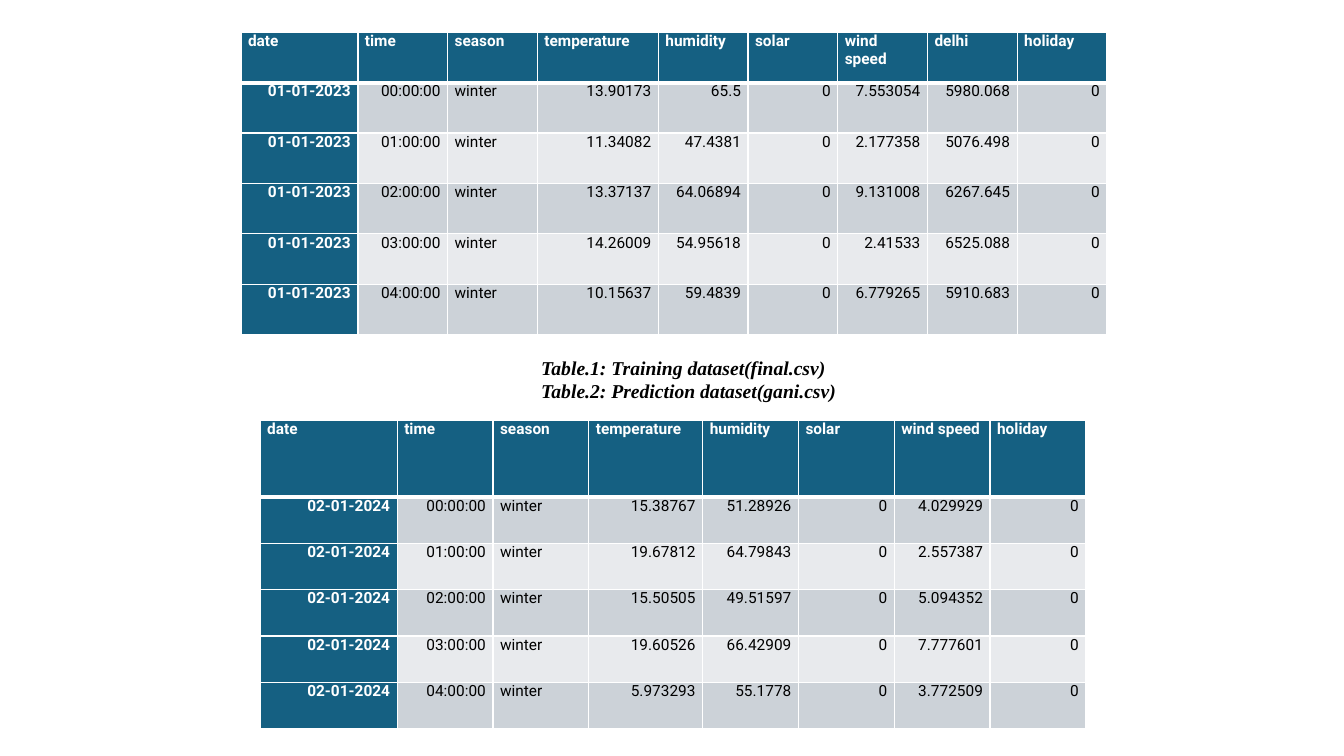
from lxml.etree import SubElement
from pptx import Presentation
from pptx.dml.color import RGBColor
from pptx.enum.text import MSO_ANCHOR, PP_ALIGN
from pptx.oxml.ns import qn
from pptx.util import Inches, Pt

# Column headings, column widths and readings of the two datasets
TRAINING_HEADINGS = ["date", "time", "season", "temperature", "humidity",
                     "solar", "wind speed", "delhi", "holiday"]
TRAINING_WIDTHS = [1.16, 0.89, 0.89, 1.2] + [0.89] * 5
TRAINING_READINGS = [
    ("13.90173", "65.5", "0", "7.553054", "5980.068", "0"),
    ("11.34082", "47.4381", "0", "2.177358", "5076.498", "0"),
    ("13.37137", "64.06894", "0", "9.131008", "6267.645", "0"),
    ("14.26009", "54.95618", "0", "2.41533", "6525.088", "0"),
    ("10.15637", "59.4839", "0", "6.779265", "5910.683", "0"),
]
PREDICTION_HEADINGS = [name for name in TRAINING_HEADINGS if name != "delhi"]
PREDICTION_WIDTHS = [1.36, 0.95, 0.95, 1.13] + [0.95] * 4
PREDICTION_READINGS = [
    ("15.38767", "51.28926", "0", "4.029929", "0"),
    ("19.67812", "64.79843", "0", "2.557387", "0"),
    ("15.50505", "49.51597", "0", "5.094352", "0"),
    ("19.60526", "66.42909", "0", "7.777601", "0"),
    ("5.973293", "55.1778", "0", "3.772509", "0"),
]
CAPTIONS = ["Table.1: Training dataset(final.csv)",
            "Table.2: Prediction dataset(gani.csv)"]


def color(hex_value):
    return RGBColor.from_string(hex_value)


def hourly_rows(date, readings):
    """Put date, hour and season in front of each set of readings."""
    return [[date, f"{hour:02}:00:00", "winter", *values]
            for hour, values in enumerate(readings)]


class DatasetSlide:
    HEADING_FILL = "156082"
    BAND_FILLS = ("CCD2D8", "E8EAED")
    BORDER = "FFFFFF"
    HEADING_FONT = {"name": "Roboto", "size": Pt(11), "bold": True}
    BODY_FONT = {"name": "Roboto", "size": Pt(11), "bold": False}
    CAPTION_FONT = {"name": "Times New Roman", "size": Pt(14),
                    "bold": True, "italic": True}
    CELL_FORMAT = {"margin_left": Inches(0.07), "margin_right": Inches(0.07),
                   "margin_top": 0, "margin_bottom": 0}

    def __init__(self, presentation):
        self.slide = presentation.slides.add_slide(presentation.slide_layouts[6])

    def add_text(self, paragraph, text, font_format, font_color):
        run = paragraph.add_run()
        run.text = text
        for name, value in font_format.items():
            setattr(run.font, name, value)
        run.font.color.rgb = color(font_color)

    def add_borders(self, cell, top, bottom):
        properties = cell._tc.get_or_add_tcPr()
        for side, width in (("L", 1), ("R", 1), ("T", top), ("B", bottom)):
            line = SubElement(properties, qn(f"a:ln{side}"), w=str(Pt(width)))
            fill = SubElement(line, qn("a:solidFill"))
            SubElement(fill, qn("a:srgbClr"), val=self.BORDER)

    def add_cell(self, cell, text, row, column):
        is_heading = row == 0 or column == 0
        for name, value in self.CELL_FORMAT.items():
            setattr(cell, name, value)
        # A thick rule separates the heading row from the body
        self.add_borders(cell, top=3 if row == 1 else 1, bottom=3 if row == 0 else 1)
        cell.fill.solid()
        cell.fill.fore_color.rgb = color(
            self.HEADING_FILL if is_heading else self.BAND_FILLS[(row - 1) % 2])
        paragraph = cell.text_frame.paragraphs[0]
        # Headings and the season column stay on the left
        left_aligned = row == 0 or column == 2
        paragraph.alignment = PP_ALIGN.LEFT if left_aligned else PP_ALIGN.RIGHT
        self.add_text(paragraph, text,
                      self.HEADING_FONT if is_heading else self.BODY_FONT,
                      "FFFFFF" if is_heading else "000000")

    def add_dataset(self, left, top, widths, heading_height, row_height, rows):
        height = heading_height + row_height * (len(rows) - 1)
        table = self.slide.shapes.add_table(
            len(rows), len(widths), Inches(left), Inches(top),
            Inches(sum(widths)), Inches(height)).table
        for column, width in zip(table.columns, widths):
            column.width = Inches(width)
        for row_index, values in enumerate(rows):
            table.rows[row_index].height = Inches(
                row_height if row_index else heading_height)
            for column_index, text in enumerate(values):
                self.add_cell(table.cell(row_index, column_index), text,
                              row_index, column_index)

    def add_captions(self, left, top, width, height, captions):
        shape = self.slide.shapes.add_textbox(
            Inches(left), Inches(top), Inches(width), Inches(height))
        frame = shape.text_frame
        frame.word_wrap = True
        frame.vertical_anchor = MSO_ANCHOR.TOP
        for index, caption in enumerate(captions):
            paragraph = frame.add_paragraph() if index else frame.paragraphs[0]
            self.add_text(paragraph, caption, self.CAPTION_FONT, "000000")


def main():
    presentation = Presentation()
    presentation.slide_width = Inches(13.33)
    presentation.slide_height = Inches(7.5)
    slide = DatasetSlide(presentation)

    # Training dataset
    slide.add_dataset(2.39, 0.32, TRAINING_WIDTHS, 0.5, 0.5,
                      [TRAINING_HEADINGS]
                      + hourly_rows("01-01-2023", TRAINING_READINGS))

    # Prediction dataset
    slide.add_dataset(2.58, 4.17, PREDICTION_WIDTHS, 0.76, 0.46,
                      [PREDICTION_HEADINGS]
                      + hourly_rows("02-01-2024", PREDICTION_READINGS))

    # Captions between the tables
    slide.add_captions(5.27, 3.48, 4.07, 0.81, CAPTIONS)

    presentation.save("out.pptx")


if __name__ == "__main__":
    main()
